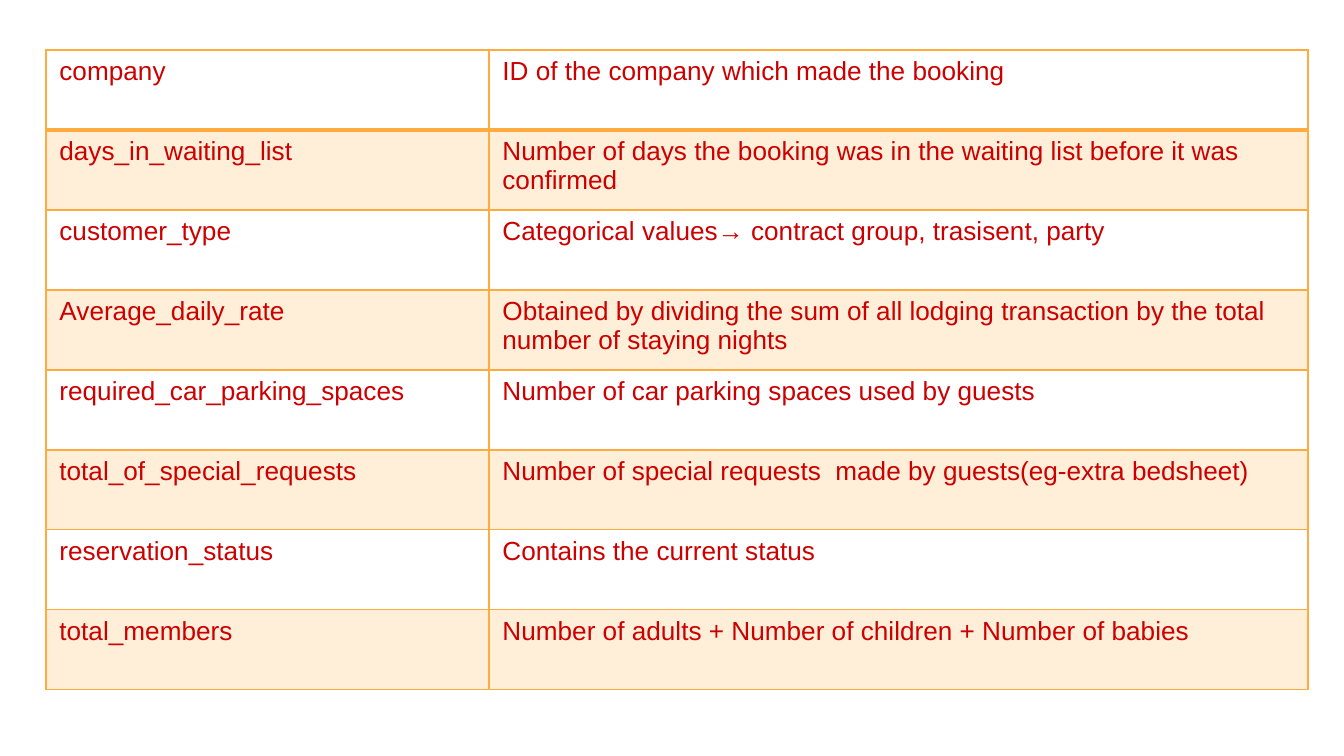
from lxml.etree import SubElement
from pptx import Presentation
from pptx.dml.color import RGBColor
from pptx.oxml import parse_xml
from pptx.oxml.ns import nsdecls, qn
from pptx.util import Pt

FIELDS = [
    ("company", "ID of the company which made the booking"),
    ("days_in_waiting_list", "Number of days the booking was in the waiting list before it was confirmed"),
    ("customer_type", "Categorical values→ contract group, trasisent, party"),
    ("Average_daily_rate", "Obtained by dividing the sum of all lodging transaction by the total number of staying nights"),
    ("required_car_parking_spaces", "Number of car parking spaces used by guests"),
    ("total_of_special_requests", "Number of special requests  made by guests(eg-extra bedsheet)"),
    ("reservation_status", "Contains the current status"),
    ("total_members", "Number of adults + Number of children + Number of babies"),
]
COLORS = {"text": "CC0000", "accent": "FFAB40"}
SLIDE_WIDTH, SLIDE_HEIGHT = 1344, 756
LEFT, TOP = 46, 50
COLUMN_WIDTHS = [443, 819]
ROW_HEIGHT = 80
BAND_OPACITY = 20


def px(length):
    return round(length * 914400 / 134.4)


def write(frame, text, size=14, font="Arial", color="text"):
    run = frame.paragraphs[0].add_run()
    run.text = text
    run.font.size = Pt(size)
    run.font.name = font
    run.font.bold = False
    run.font.color.rgb = RGBColor.from_string(COLORS[color])


def paint(cell, banded):
    if not banded:
        cell.fill.background()
        return
    cell.fill.solid()
    cell.fill.fore_color.rgb = RGBColor.from_string(COLORS["accent"])
    color = cell._tc.tcPr.find(qn("a:solidFill")).find(qn("a:srgbClr"))
    SubElement(color, qn("a:alpha"), val=str(BAND_OPACITY * 1000))


def outline(cell, **widths):
    for position, (side, width) in enumerate(widths.items()):
        border = parse_xml(
            f'<a:ln{side} {nsdecls("a")} w="{Pt(width)}"><a:solidFill>'
            f'<a:srgbClr val="{COLORS["accent"]}"/></a:solidFill></a:ln{side}>'
        )
        cell._tc.tcPr.insert(position, border)


def main():
    presentation = Presentation()
    presentation.slide_width = px(SLIDE_WIDTH)
    presentation.slide_height = px(SLIDE_HEIGHT)
    slide = presentation.slides.add_slide(presentation.slide_layouts[6])
    dictionary = slide.shapes.add_table(
        len(FIELDS), len(COLUMN_WIDTHS), px(LEFT), px(TOP),
        px(sum(COLUMN_WIDTHS)), px(ROW_HEIGHT * len(FIELDS)),
    ).table
    dictionary.first_row = False
    dictionary.horz_banding = False
    for column, width in zip(dictionary.columns, COLUMN_WIDTHS):
        column.width = px(width)
    for row, field in enumerate(FIELDS):
        dictionary.rows[row].height = px(ROW_HEIGHT)
        for column, text in enumerate(field):
            cell = dictionary.cell(row, column)
            write(cell.text_frame, text)
            paint(cell, banded=row % 2 == 1)
            outline(cell, L=1, R=1, T=2 if row == 1 else 1, B=2 if row == 0 else 1)
    presentation.save("out.pptx")


if __name__ == "__main__":
    main()
